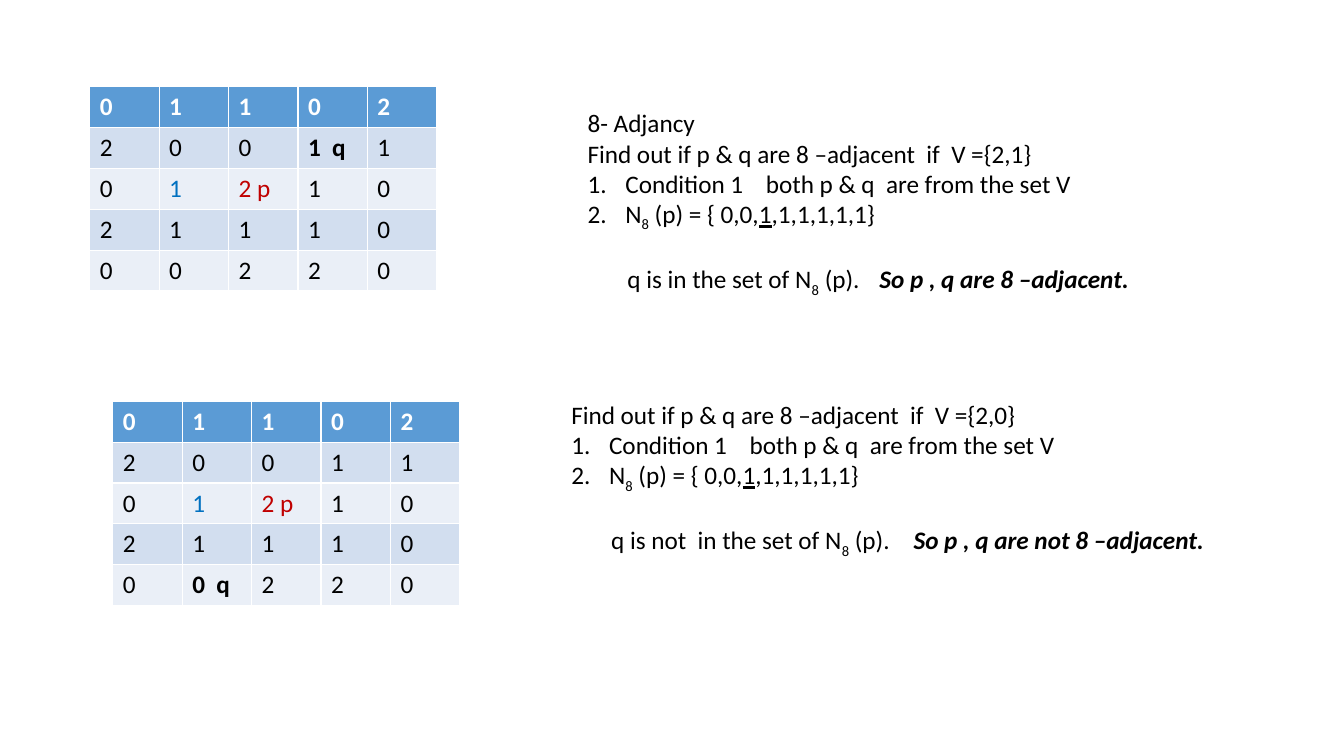
from pptx import Presentation
from pptx.dml.color import RGBColor
from pptx.oxml.ns import qn
from pptx.util import Pt
from lxml.etree import SubElement

COLORS = {
    "header": "5B9BD5", "odd_row": "D2DEEF", "even_row": "EAEFF7",
    "white": "FFFFFF", "black": "000000", "neighbour": "0070C0", "p": "C00000",
}
FONT, SIZE = "Calibri", Pt(18)
COLUMN_WIDTH, ROW_HEIGHT = Pt(49.6), Pt(29.2)
PIXELS = [
    ["0", "1", "1", "0", "2"],
    ["2", "0", "0", "1", "1"],
    ["0", "1", "2 p", "1", "0"],
    ["2", "1", "1", "1", "0"],
    ["0", "0", "2", "2", "0"],
]
PIXEL_COLORS = {(2, 1): "neighbour", (2, 2): "p"}


def style(font, color="black", bold=False):
    font.name, font.size, font.bold = FONT, SIZE, bold
    font.color.rgb = RGBColor.from_string(COLORS[color])


def add_line(frame, runs, indent=0, numbered=False, tab=None, space_before=0):
    """Fill the next paragraph with (text, mark) runs; mark is sub, under, strong or empty."""
    first = not frame.paragraphs[0].runs
    line = frame.paragraphs[0] if first else frame.add_paragraph()
    properties = line._p.get_or_add_pPr()
    properties.set("marL", str(Pt(indent)))
    properties.set("indent", str(-Pt(indent) if numbered else 0))
    if numbered:
        SubElement(properties, qn("a:buFont"), typeface="+mj-lt")
        SubElement(properties, qn("a:buAutoNum"), type="arabicPeriod")
    if tab:
        tabs = SubElement(properties, qn("a:tabLst"))
        SubElement(tabs, qn("a:tab"), pos=str(Pt(tab)), algn="l")
    if space_before:
        line.space_before = Pt(space_before)
    for text, mark in runs:
        run = line.add_run()
        run.text = text
        style(run.font, bold=mark == "strong")
        run.font.italic = mark == "strong"
        run.font.underline = mark == "under"
        if mark == "sub":
            run._r.get_or_add_rPr().set("baseline", "-25000")


presentation = Presentation()
presentation.slide_width, presentation.slide_height = Pt(960), Pt(540)
slide = presentation.slides.add_slide(presentation.slide_layouts[6])

# grid position, q cell and its text, text box, heading, V, negation, conclusion tab
examples = [
    ((64.1, 61.9), (1, 3), "1  q", (412.6, 73.4, 410.4, 203.8),
     ["8- Adjancy"], "{2,1}", "", "", 214.6),
    ((80.6, 286.6), (4, 1), "0  q", (401, 281.5, 489.6, 159.8),
     [], "{2,0}", "not  ", "not ", 248),
]

for grid_at, q_cell, q_text, box, headings, v_set, not_in, not_adjacent, tab in examples:
    left, top = map(Pt, grid_at)
    grid = slide.shapes.add_table(
        5, 5, left, top, COLUMN_WIDTH * 5, ROW_HEIGHT * 5).table
    for column in grid.columns:
        column.width = COLUMN_WIDTH
    for row, values in enumerate(PIXELS):
        grid.rows[row].height = ROW_HEIGHT
        fill = "header" if row == 0 else "odd_row" if row % 2 else "even_row"
        for col, value in enumerate(values):
            is_q = (row, col) == q_cell
            cell = grid.cell(row, col)
            cell.fill.solid()
            cell.fill.fore_color.rgb = RGBColor.from_string(COLORS[fill])
            cell.text_frame.text = q_text if is_q else value
            color = "white" if row == 0 else PIXEL_COLORS.get((row, col), "black")
            style(cell.text_frame.paragraphs[0].runs[0].font, color, row == 0 or is_q)

    working = slide.shapes.add_textbox(*map(Pt, box)).text_frame
    working.word_wrap = True
    for heading in headings:
        add_line(working, [(heading, "")])
    add_line(working, [(f"Find out if p & q are 8 –adjacent  if  V ={v_set}", "")])
    add_line(working, [("Condition 1\tboth p & q  are from the set V", "")],
             indent=27, numbered=True, tab=127.4)
    add_line(working, [("N", ""), ("8", "sub"), (" (p) = { 0,0,", ""),
                       ("1", "under"), (",1,1,1,1,1}", "")],
             indent=27, numbered=True)
    add_line(working, [(f"q is {not_in}in the set of N", ""), ("8", "sub"), (" (p).\t", ""),
                       (f"So p , q are {not_adjacent}8 –adjacent.", "strong")],
             indent=28.5, tab=tab, space_before=22)

presentation.save("out.pptx")
